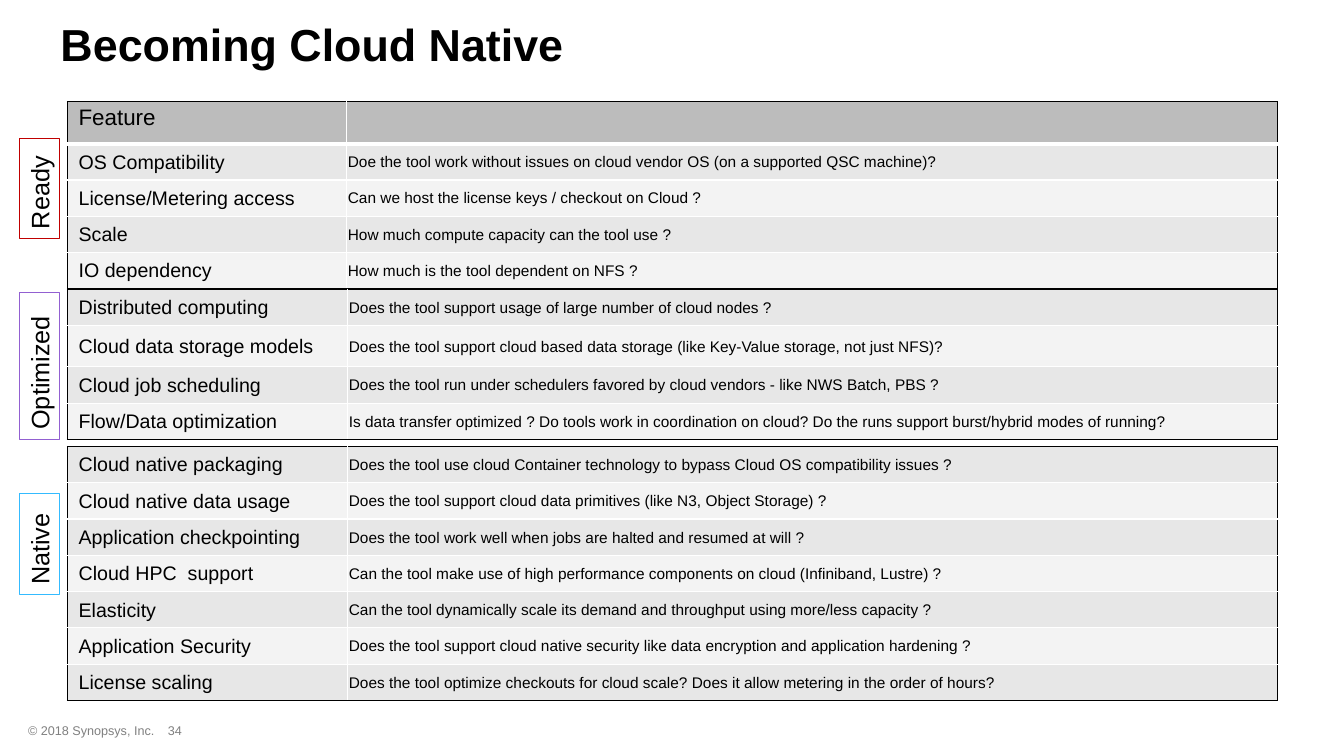
from lxml import etree
from pptx import Presentation, util as u
from pptx.dml.color import RGBColor
from pptx.enum import shapes, text
from pptx.oxml import ns

WIDE, HIGH = 13.33, 7.5
LEFT, SPAN, ROW = 0.67, 12, 0.36
BLACK, WHITE, GREY = "000000", "FFFFFF", "808080"
BANDS = "E7E7E7", "F3F3F3"
HEAD = "BCBCBC"

READY = [
    ("Feature", ""),
    ("OS Compatibility", "Doe the tool work without issues on cloud vendor OS (on a supported QSC machine)?"),
    ("License/Metering access", "Can we host the license keys / checkout on Cloud ?"),
    ("Scale", "How much compute capacity can the tool use ?"),
    ("IO dependency", "How much is the tool dependent on NFS ?"),
]
TUNED = [
    ("Distributed computing", "Does the tool support usage of large number of cloud nodes ?"),
    ("Cloud data storage models",
     "Does the tool support cloud based data storage (like Key-Value storage, not just NFS)?"),
    ("Cloud job scheduling", "Does the tool run under schedulers favored by cloud vendors - like NWS Batch, PBS ?"),
    ("Flow/Data optimization",
     "Is data transfer optimized ? Do tools work in coordination on cloud? "
     "Do the runs support burst/hybrid modes of running?"),
]
NATIVE = [
    ("Cloud native packaging",
     "Does the tool use cloud Container technology to bypass Cloud OS compatibility issues ?"),
    ("Cloud native data usage", "Does the tool support cloud data primitives (like N3, Object Storage) ?"),
    ("Application checkpointing", "Does the tool work well when jobs are halted and resumed at will ?"),
    ("Cloud HPC  support", "Can the tool make use of high performance components on cloud (Infiniband, Lustre) ?"),
    ("Elasticity", "Can the tool dynamically scale its demand and throughput using more/less capacity ?"),
    ("Application Security",
     "Does the tool support cloud native security like data encryption and application hardening ?"),
    ("License scaling", "Does the tool optimize checkouts for cloud scale? Does it allow metering in the order of hours?"),
]


def color(code):
    """Turn a hex string into a colour."""
    return RGBColor.from_string(code)


def apply(item, form):
    """Set each attribute named in a dict of format values."""
    for key, value in form.items():
        setattr(item, key, value)


def write(frame, words, size, shade=BLACK, bold=False, align=text.PP_ALIGN.LEFT):
    """Put one formatted line into a text frame."""
    line = frame.paragraphs[0]
    line.alignment = align
    run = line.add_run()
    run.text = words
    apply(run.font, {"name": "Arial", "size": u.Pt(size), "bold": bold})
    run.font.color.rgb = color(shade)


def edge(cell, side, shade, width):
    """Draw one border of a cell."""
    line = etree.SubElement(cell._tc.get_or_add_tcPr(), ns.qn("a:ln" + side), w=str(u.Pt(width)))
    fill = etree.SubElement(line, ns.qn("a:solidFill"))
    etree.SubElement(fill, ns.qn("a:srgbClr"), val=shade)


def dress(cell, words, row, col, last, head):
    """Format one cell from its place in the table."""
    titled = head and row == 0
    apply(cell, {
        "margin_left": u.Inches(0.01 if col else 0.11),
        "margin_top": u.Inches(0.01),
        "margin_right": u.Inches(0.01),
        "margin_bottom": u.Inches(0.1 if titled else 0),
        "vertical_anchor": text.MSO_ANCHOR.MIDDLE,
    })
    if words:
        write(cell.text_frame, words, 16 if titled else 11 if col else 14)
    outer = {"L": col == 0, "R": col == 1, "T": row == 0, "B": row == last}
    for side, dark in outer.items():
        edge(cell, side, BLACK if dark else WHITE, 3 if titled and side == "B" else 1)
    cell.fill.solid()
    cell.fill.fore_color.rgb = color(HEAD if titled else BANDS[(row - head) % 2])


def grid(slide, top, data, first, tall=None, head=False):
    """Add a two-column table, with one row made taller if asked."""
    rows = [0.41 if i == tall else ROW for i in range(len(data))]
    box = [u.Inches(v) for v in (LEFT, top, SPAN, sum(rows))]
    table = slide.shapes.add_table(len(data), 2, *box).table
    apply(table, {"first_row": head, "horz_banding": False})
    for col, width in enumerate((first, SPAN - first)):
        table.columns[col].width = u.Inches(width)
    for row, pair in enumerate(data):
        table.rows[row].height = u.Inches(rows[row])
        for col, words in enumerate(pair):
            dress(table.cell(row, col), words, row, col, len(data) - 1, head)


def label(slide, words, mid, width, shade):
    """Add an outlined stage label that reads upwards."""
    box = [u.Inches(v) for v in (0.39 - width / 2, mid - 0.2, width, 0.4)]
    shape = slide.shapes.add_shape(shapes.MSO_SHAPE.RECTANGLE, *box)
    shape.rotation = 270
    shape.shadow.inherit = False
    shape.fill.background()
    shape.line.color.rgb = color(shade)
    shape.line.width = u.Pt(0.75)
    apply(shape.text_frame, {"word_wrap": False, "vertical_anchor": text.MSO_ANCHOR.TOP})
    write(shape.text_frame, words, 18)


def note(slide, words, left, width, align):
    """Add a small grey footer text."""
    box = [u.Inches(v) for v in (left, 0.95 * HIGH, width, 0.25)]
    frame = slide.shapes.add_textbox(*box).text_frame
    frame.word_wrap = True
    write(frame, words, 9, GREY, align=align)


def main():
    """Build the slide and save it."""
    deck = Presentation()
    apply(deck, {"slide_width": u.Inches(WIDE), "slide_height": u.Inches(HIGH)})
    slide = deck.slides.add_slide(deck.slide_layouts[5])
    title = slide.shapes.title
    apply(title, {"left": u.Inches(0.5), "top": 0, "width": u.Inches(12.33), "height": u.Inches(0.87)})
    title.text_frame.vertical_anchor = text.MSO_ANCHOR.MIDDLE
    write(title.text_frame, "Becoming Cloud Native", 32, bold=True)
    grid(slide, 1.01, READY, 2.77, head=True)
    grid(slide, 2.87, TUNED, 2.78, tall=1)
    grid(slide, 4.43, NATIVE, 2.78)
    label(slide, "Ready", 1.87, 1, "C00000")
    label(slide, "Optimized", 3.63, 1.46, "9260D1")
    label(slide, "Native", 5.4, 1, "34BBFF")
    note(slide, "© 2018 Synopsys, Inc.", 0.18, 4.11, text.PP_ALIGN.LEFT)
    note(slide, "34", 1.27, 0.93, text.PP_ALIGN.CENTER)
    deck.save("out.pptx")


if __name__ == "__main__":
    main()
